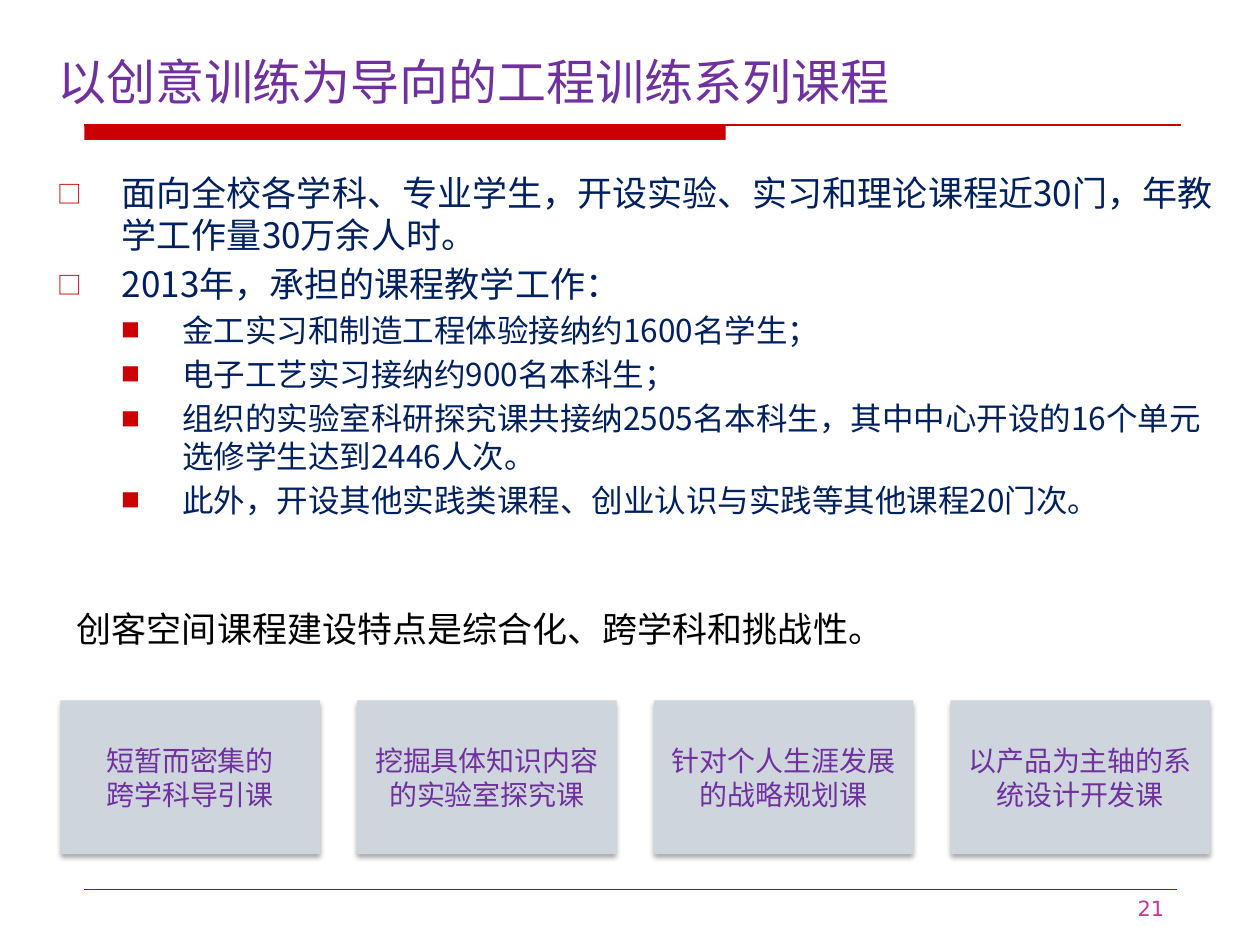
from lxml import etree
from pptx import Presentation
from pptx import util as u
from pptx.dml.color import RGBColor
from pptx.enum import shapes, text
from pptx.oxml import ns

CJK = "Noto Sans CJK SC"
RED = "CC0000"
PURPLE = "7030A0"
NAVY = "002060"


def colour(value):
    return RGBColor.from_string(value)


def add_element(parent, tag, **attributes):
    return etree.SubElement(parent, ns.qn(tag), attributes)


def place(shape, box):
    shape.left, shape.top, shape.width, shape.height = [u.Cm(n) for n in box]


def add_run(paragraph, content, size, value, font=CJK):
    run = paragraph.add_run()
    run.text = content
    run.font.size = u.Pt(size)
    run.font.name = font
    run.font.color.rgb = colour(value)
    add_element(run.font._element, "a:ea", typeface=font)


def add_line(slide, left, top, width, points):
    line = slide.shapes.add_connector(
        shapes.MSO_CONNECTOR.STRAIGHT,
        u.Cm(left), u.Cm(top), u.Cm(left + width), u.Cm(top))
    line.line.color.rgb = colour(RED)
    line.line.width = u.Pt(points)
    add_element(line._element.spPr, "a:effectLst")


def add_label(slide, box, content, size, value, font=CJK,
              align=text.PP_ALIGN.LEFT):
    label = slide.shapes.add_textbox(*[u.Cm(n) for n in box])
    label.text_frame.word_wrap = True
    paragraph = label.text_frame.paragraphs[0]
    paragraph.alignment = align
    add_run(paragraph, content, size, value, font)


def add_rule(slide, box):
    left, top, width, height = box
    bar = slide.shapes.add_shape(
        shapes.MSO_SHAPE.RECTANGLE,
        u.Cm(left), u.Cm(top), u.Cm(width * 0.585), u.Cm(height))
    bar.shadow.inherit = False
    bar.fill.solid()
    bar.fill.fore_color.rgb = colour(RED)
    bar.line.fill.background()
    add_line(slide, left, top, width, 0.75)


def fill_title(slide, box, content):
    title = slide.shapes.title
    place(title, box)
    frame = title.text_frame
    frame.auto_size = text.MSO_AUTO_SIZE.NONE
    frame.vertical_anchor = text.MSO_ANCHOR.TOP
    frame.paragraphs[0].alignment = text.PP_ALIGN.LEFT
    add_run(frame.paragraphs[0], content, 28, PURPLE)


def add_bullet(paragraph, margin, indent, symbol, percent):
    properties = paragraph._p.get_or_add_pPr()
    properties.set("marL", str(u.Cm(margin)))
    properties.set("indent", str(-u.Cm(indent)))
    bullet_colour = add_element(properties, "a:buClr")
    add_element(bullet_colour, "a:srgbClr", val=RED)
    add_element(properties, "a:buSzPct", val=str(percent * 1000))
    add_element(properties, "a:buFont", typeface=CJK)
    add_element(properties, "a:buChar", char=symbol)


def fill_body(slide, box, items):
    styles = [(20, 1.3, 1.3, "□", 70), (18, 2.52, 1.22, "■", 60)]
    body = slide.placeholders[1]
    place(body, box)
    frame = body.text_frame
    frame.auto_size = text.MSO_AUTO_SIZE.NONE
    for index, (level, content) in enumerate(items):
        paragraph = frame.add_paragraph() if index else frame.paragraphs[0]
        size, *bullet = styles[level]
        paragraph.level = level
        add_bullet(paragraph, *bullet)
        paragraph.space_before = u.Pt(size * 0.2 if index else 0)
        add_run(paragraph, content, size, NAVY)


def add_card(slide, box, lines):
    card = slide.shapes.add_shape(
        shapes.MSO_SHAPE.RECTANGLE, *[u.Cm(n) for n in box])
    card.shadow.inherit = False
    card.fill.solid()
    card.fill.fore_color.rgb = colour("CED5DD")
    card.line.fill.background()
    effects = card._element.spPr.find(ns.qn("a:effectLst"))
    shadow = add_element(
        effects, "a:outerShdw", blurRad=str(u.Pt(3.1)), dist=str(u.Pt(1.8)),
        dir="5400000", rotWithShape="0")
    shade = add_element(shadow, "a:srgbClr", val="000000")
    add_element(shade, "a:alpha", val="35000")
    frame = card.text_frame
    frame.word_wrap = True
    frame.vertical_anchor = text.MSO_ANCHOR.MIDDLE
    for index, content in enumerate(lines):
        paragraph = frame.add_paragraph() if index else frame.paragraphs[0]
        paragraph.alignment = text.PP_ALIGN.CENTER
        add_run(paragraph, content, 16, PURPLE)


def add_cards(slide, box, cards):
    left, top, width, height = box
    gap = 0.75
    card_width = (width - gap * (len(cards) - 1)) / len(cards)
    for index, lines in enumerate(cards):
        card_left = left + index * (card_width + gap)
        add_card(slide, (card_left, top, card_width, height), lines)


def add_footer(slide, box, number):
    left, top, width, height = box
    add_line(slide, left, top, width, 0.25)
    add_label(slide, (left + width - 5.5, top, 5.5, height), number,
              12, "CC3399", "DejaVu Sans", text.PP_ALIGN.RIGHT)


def main():
    presentation = Presentation()
    presentation.slide_width = u.Cm(25.4)
    presentation.slide_height = u.Cm(19.05)
    slide = presentation.slides.add_slide(presentation.slide_layouts[1])
    add_rule(slide, (1.7, 2.52, 22.1, 0.3))
    fill_title(slide, (0.9, 0.92, 18.65, 1.5),
               "以创意训练为导向的工程训练系列课程")
    fill_body(slide, (0.9, 3.33, 23.83, 8.5), [
        (0, "面向全校各学科、专业学生，开设实验、实习和理论课程近30门，年教学工作量30万余人时。"),
        (0, "2013年，承担的课程教学工作："),
        (1, "金工实习和制造工程体验接纳约1600名学生；"),
        (1, "电子工艺实习接纳约900名本科生；"),
        (1, "组织的实验室科研探究课共接纳2505名本科生，其中中心开设的16个单元选修学生达到2446人次。"),
        (1, "此外，开设其他实践类课程、创业认识与实践等其他课程20门次。"),
    ])
    add_label(slide, (1.3, 12.12, 23.55, 1.55),
              "创客空间课程建设特点是综合化、跨学科和挑战性。", 20, "000000")
    add_cards(slide, (1.22, 14.12, 23.17, 3.1), [
        ["短暂而密集的", "跨学科导引课"],
        ["挖掘具体知识内容的实验室探究课"],
        ["针对个人生涯发展的战略规划课"],
        ["以产品为主轴的系统设计开发课"],
    ])
    add_footer(slide, (1.7, 17.93, 22.02, 0.74), "21")
    presentation.save("out.pptx")


if __name__ == "__main__":
    main()
